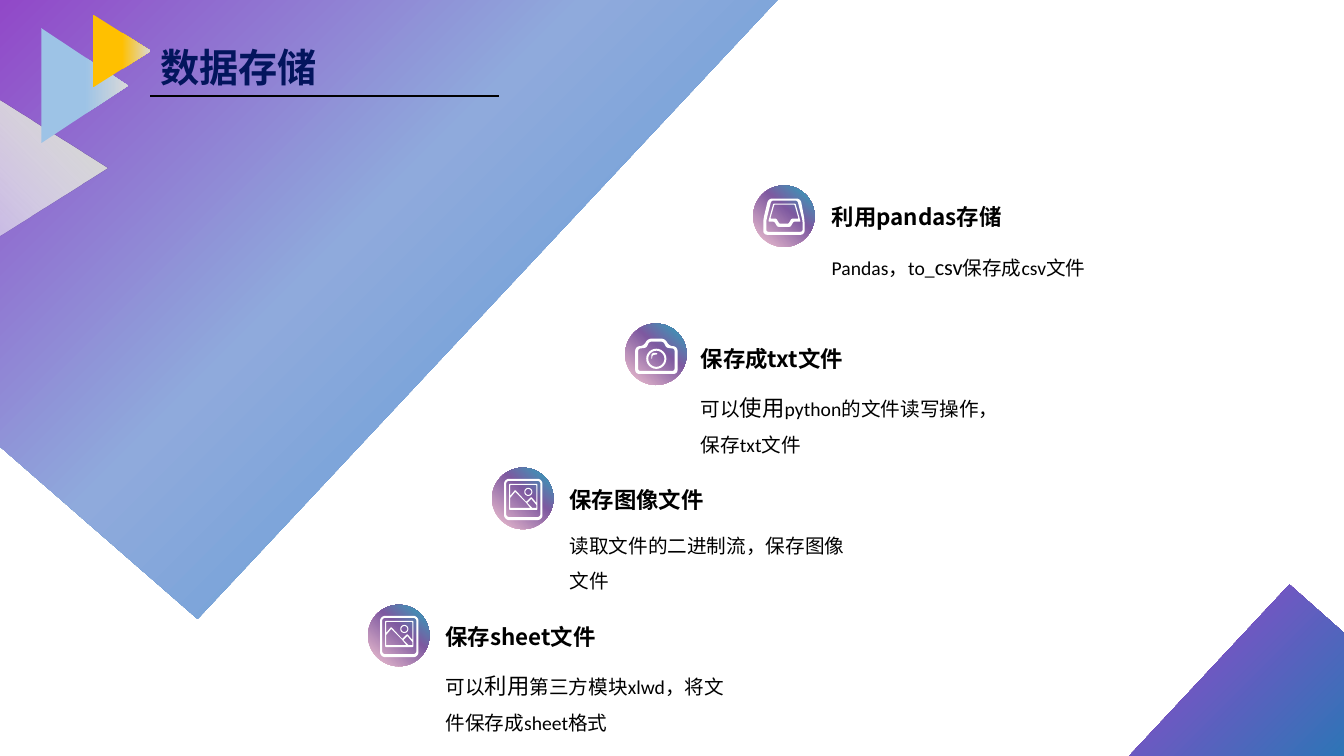
from math import dist

from lxml import etree
from pptx import Presentation
from pptx.dml.color import RGBColor
from pptx.enum.shapes import MSO_CONNECTOR, MSO_SHAPE
from pptx.enum.text import MSO_AUTO_SIZE
from pptx.oxml import parse_xml
from pptx.oxml.ns import nsdecls, qn
from pptx.util import Pt

PX = 9144  # one px is a hundredth of an inch
BADGE = 61
BADGE_STOPS = [(6, "E9BBCE"), (59, "7E59A0"), (100, "27AABF")]

TITLE = {"size": Pt(28), "name": "Calibri", "bold": True}
HEADING = {"size": Pt(16), "name": "Noto Sans CJK SC", "bold": True}
BODY = {"size": Pt(14), "name": "Calibri"}
BODY_LARGE = {"size": Pt(16), "name": "Calibri"}


def square(center_x, center_y, half):
    return [(center_x - half, center_y - half), (center_x + half, center_y - half),
            (center_x + half, center_y + half), (center_x - half, center_y + half)]


def rect(left, top, right, bottom):
    return [(left, top), (right, top), (right, bottom), (left, bottom)]


# Each icon is a list of outlines; an outline is a list of (corner radius, corners),
# the first contour being the edge and the others its holes.
PICTURE_ICON = [
    [(5, rect(12, 11, 50, 52)), (3, rect(14, 13, 48, 49))],
    [(1, rect(17, 16, 45, 42)),
     (1, [(18, 17), (44, 17), (44, 35), (39, 29), (34, 34), (23, 22), (18, 28)]),
     (0, [(18, 30), (23, 24), (34, 35), (38, 40), (18, 40)]),
     (0, [(40, 40), (35, 35), (39, 31), (44, 37), (44, 40)])],
    [(4, square(36, 24, 4)), (3, square(36, 24, 3))],
]
TRAY_ICON = [
    [(4, [(15, 13), (47, 13), (51, 34), (51, 49), (10, 49), (10, 34)]),
     (2, [(18, 15), (44, 15), (49, 35), (49, 46), (13, 46), (13, 35)])],
    [(1, [(20, 18), (42, 18), (47, 36), (40, 36), (37, 41), (24, 41), (21, 36), (15, 36)]),
     (1, [(21, 19), (41, 19), (45, 33), (38, 33), (35, 38), (26, 38), (23, 33), (17, 33)])],
]
CAMERA_ICON = [
    [(10, square(31, 35, 10)), (8, square(31, 35, 8))],
    [(3, [(26, 35), (26, 29), (32, 29), (32, 31), (27, 31), (27, 35)])],
    [(4, [(10, 23), (19, 22), (22, 15), (40, 15), (43, 22), (52, 23), (52, 50), (10, 50)]),
     (2, [(13, 25), (21, 24), (24, 18), (38, 18), (41, 24), (49, 25), (49, 47), (13, 47)])],
]

# badge corner, offset of the heading from it, icon, heading, body spans
STEPS = [
    ((747, 184), (78, 18), TRAY_ICON, "利用pandas存储",
     [("Pandas，to_", BODY), ("csv", BODY_LARGE), ("保存成csv文件", BODY)]),
    ((620, 321), (75, 21), CAMERA_ICON, "保存成txt文件",
     [("可以", BODY), ("使用", BODY_LARGE), ("python的文件读写操作，保存txt文件", BODY)]),
    ((488, 464), (77, 18), PICTURE_ICON, "保存图像文件",
     [("读取文件的二进制流，保存图像文件", BODY)]),
    ((365, 600), (77, 18), PICTURE_ICON, "保存sheet文件",
     [("可以", BODY), ("利用", BODY_LARGE), ("第三方模块xlwd，将文件保存成sheet格式", BODY)]),
]


def emu(*lengths):
    return [round(length * PX) for length in lengths]


def color(value):
    return RGBColor.from_string(value)


def finish(shape):
    shape.shadow.inherit = False
    shape.line.fill.background()


def fill_gradient(shape, stops, angle):
    """Fill with (position, colour[, opacity]) stops; the angle runs clockwise."""
    marks = ""
    for position, value, *opacity in stops:
        alpha = "".join(f'<a:alpha val="{share * 1000}"/>' for share in opacity)
        marks += (f'<a:gs pos="{position * 1000}"><a:srgbClr val="{value}">'
                  f'{alpha}</a:srgbClr></a:gs>')
    shape.fill.gradient()
    properties = shape._element.spPr
    properties.replace(properties.find(qn("a:gradFill")), parse_xml(
        f'<a:gradFill {nsdecls("a")} rotWithShape="1"><a:gsLst>{marks}</a:gsLst>'
        f'<a:lin ang="{angle * 60000}" scaled="0"/></a:gradFill>'))
    finish(shape)


def round_corners(corners, radius):
    """Return the polygon with each corner replaced by a short arc."""
    if not radius:
        return corners
    points = []
    for index, corner in enumerate(corners):
        ends = []
        for other in (corners[index - 1], corners[(index + 1) % len(corners)]):
            share = min(radius / dist(corner, other), 0.5)
            ends.append([a + (b - a) * share for a, b in zip(corner, other)])
        for step in range(7):
            t = step / 6
            weights = ((1 - t) ** 2, 1.41 * t * (1 - t), t ** 2)
            points.append([
                sum(w * v for w, v in zip(weights, axis)) / sum(weights)
                for axis in zip(ends[0], corner, ends[1])])
    return points


def add_outline(shapes, contours, left=0, top=0):
    builder = None
    for contour in contours:
        points = [emu(left + x, top + y) for x, y in contour]
        if builder is None:
            builder = shapes.build_freeform(*points[0], scale=1.0)
        else:
            builder.move_to(*points[0])
        builder.add_line_segments(points[1:], close=True)
    return builder.convert_to_shape()


def add_text(page, box, spans, value, line_spacing=None, inset=True):
    frame = page.shapes.add_textbox(*emu(*box)).text_frame
    frame.word_wrap = True
    frame.auto_size = MSO_AUTO_SIZE.SHAPE_TO_FIT_TEXT
    if not inset:
        for side in ("left", "top", "right", "bottom"):
            setattr(frame, f"margin_{side}", 0)
    para = frame.paragraphs[0]
    if line_spacing:
        para.line_spacing = line_spacing
    for text, style in spans:
        span = para.add_run()
        span.text = text
        for key, setting in style.items():
            setattr(span.font, key, setting)
        span.font.color.rgb = color(value)


def add_background(page, width, height):
    band = add_outline(page.shapes, [[(0, 0), (771, 0), (196, 614), (0, 443)]])
    fill_gradient(band, [(12, "5B9BD5"), (58, "8FAADC"), (100, "9148C8")], 225)
    corner = add_outline(page.shapes, [[
        (width - 213, height), (width - 54, height - 170),
        (width, height - 122), (width, height)]])
    fill_gradient(corner, [(0, "7030A0"), (10, "9148C8"), (100, "2E75B6")], 45)


def add_title(page, left, top):
    group = page.shapes.add_group_shape()
    for box, stops, angle in [
        ((-35, 104, 158, 125),
         [(0, "FAFAFA", 50), (74, "D7D7D7"), (83, "D7D7D7"), (100, "E4E4E4")], 135),
        ((27, 42, 114, 86), [(50, "9DC3E6"), (100, "D9D9D9")], 90),
        ((85, 22, 72, 57), [(50, "FFC000"), (100, "D9D9D9")], 90),
    ]:
        triangle = group.shapes.add_shape(MSO_SHAPE.FLOWCHART_MERGE, *emu(*box))
        triangle.rotation = 90
        triangle._element.spPr.xfrm.set("flipV", "1")
        fill_gradient(triangle, stops, angle)
    add_text(page, (left, top, 485, 66), [("数据存储", TITLE)], "03155D", 1.3)
    rule = page.shapes.add_connector(
        MSO_CONNECTOR.STRAIGHT, *emu(left, top + 71, left + 346, top + 71))
    rule.line.color.rgb = color("000000")
    rule.line.width = Pt(1.5)
    etree.SubElement(rule._element.spPr, qn("a:effectLst"))


def add_step(page, corner, offset, icon, heading, body):
    left, top = corner
    badge = page.shapes.add_shape(MSO_SHAPE.OVAL, *emu(left, top, BADGE, BADGE))
    fill_gradient(badge, BADGE_STOPS, 310)
    group = page.shapes.add_group_shape()
    for outline in icon:
        contours = [round_corners(corners, radius) for radius, corners in outline]
        part = add_outline(group.shapes, contours, left, top)
        part.fill.solid()
        part.fill.fore_color.rgb = color("FFFFFF")
        finish(part)
    text_left, text_top = left + offset[0], top + offset[1]
    add_text(page, (text_left, text_top, 214, 27), [(heading, HEADING)], "000000", inset=False)
    add_text(page, (text_left - 10, text_top + 31, 309, 82), body, "000000", 1.5)


def main():
    deck = Presentation()
    width, height = 1333, 750
    deck.slide_width, deck.slide_height = emu(width, height)
    page = deck.slides.add_slide(deck.slide_layouts[6])
    add_background(page, width, height)
    add_title(page, 149, 24)
    for step in STEPS:
        add_step(page, *step)
    deck.save("out.pptx")


if __name__ == "__main__":
    main()
